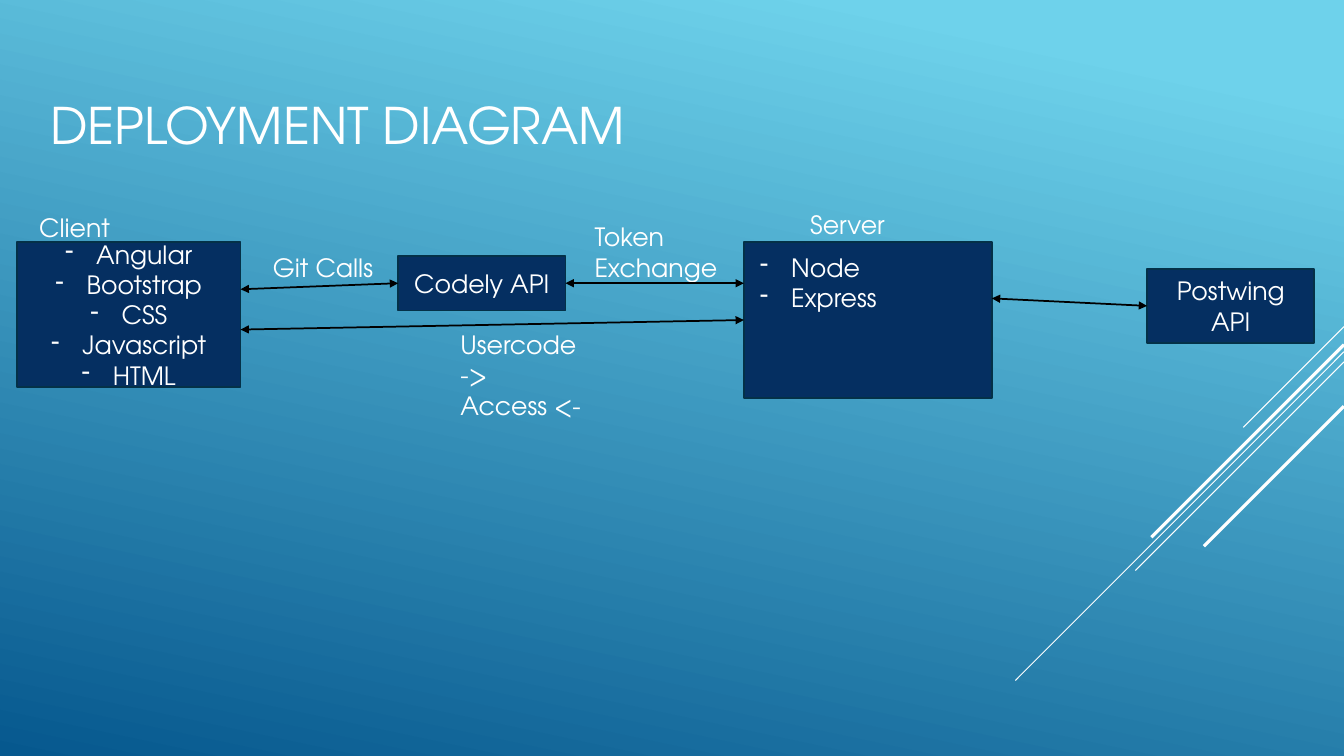
from dataclasses import dataclass
from typing import Optional

from lxml import etree
from pptx import Presentation
from pptx.dml.color import RGBColor
from pptx.enum.shapes import MSO_CONNECTOR, MSO_SHAPE
from pptx.enum.text import MSO_ANCHOR, MSO_AUTO_SIZE, PP_ALIGN
from pptx.oxml.ns import qn
from pptx.util import Inches, Pt

STRAIGHT = MSO_CONNECTOR.STRAIGHT
RECTANGLE = MSO_SHAPE.RECTANGLE
TOP, MIDDLE = MSO_ANCHOR.TOP, MSO_ANCHOR.MIDDLE
LEFT, CENTER = PP_ALIGN.LEFT, PP_ALIGN.CENTER
FIXED, GROW = MSO_AUTO_SIZE.NONE, MSO_AUTO_SIZE.SHAPE_TO_FIT_TEXT
LEFT_SIDE, RIGHT_SIDE = 1, 3

COLUMNS, ROWS = 160, 90
CELL = Inches(7.5) / ROWS
FONT = "TeX Gyre Adventor"
COLORS = {
    "sky": "6ED2EB",
    "sea": "06588E",
    "node": "052F61",
    "node_edge": "043148",
    "text": "FFFFFF",
    "arrow": "000000",
}


@dataclass(frozen=True)
class Area:
    column: float
    row: float
    columns: float
    rows: float


@dataclass(frozen=True)
class Node:
    area: Area
    lines: tuple[str, ...] = ()
    bulleted: bool = False


@dataclass(frozen=True)
class Label:
    area: Area
    lines: tuple[str, ...]
    bulleted: bool = False
    wrap: bool = False


@dataclass(frozen=True)
class Ray:
    row: float
    reach: float
    weight: float


@dataclass(frozen=True)
class Link:
    start: tuple[float, float]
    end: tuple[float, float]
    source: Optional[str] = None
    target: Optional[str] = None


TITLE_AREA = Area(4.8, 4.92, 112, 19.8)

RAYS = (
    Ray(38.88, 12, 0.75),
    Ray(41.88, 39.12, 0.75),
    Ray(43.08, 24.84, 0.75),
    Ray(41.04, 22.92, 2.25),
    Ray(48.36, 16.68, 2.25),
)

NODES = {
    "client": Node(
        Area(2, 28.8, 26.64, 17.28),
        ("Angular", "Bootstrap", "CSS", "Javascript", "HTML"),
        bulleted=True,
    ),
    "server": Node(Area(88.56, 28.8, 29.52, 18.6)),
    "repository": Node(Area(47.4, 30.48, 19.92, 6.48), ("Codely API",)),
    "mail": Node(Area(136.56, 32.04, 19.92, 8.76), ("Postwing API",)),
}

LABELS = (
    Label(Area(3.48, 24.72, 10.92, 4.8), ("Client",)),
    Label(Area(95.28, 24.36, 12.36, 4.8), ("Server",), wrap=True),
    Label(Area(89.28, 29.4, 29.52, 8.52), ("Node", "Express"), bulleted=True, wrap=True),
    Label(Area(69.6, 25.8, 17.28, 8.52), ("Token", "Exchange")),
    Label(Area(31.32, 29.4, 14.52, 4.8), ("Git Calls",)),
    Label(Area(53.64, 38.64, 19.2, 8.52), ("Usercode ->", "Access <-"), wrap=True),
)

LINKS = (
    Link((28.64, 34.44), (47.4, 33.72), target="repository"),
    Link((28.64, 39.24), (88.56, 38.1), target="server"),
    Link((67.32, 33.72), (88.56, 33.72), source="repository"),
    Link((118.08, 35.52), (136.56, 36.42), target="mail"),
)


def cells(count: float) -> int:
    return round(count * CELL)


def box(area: Area) -> tuple[int, ...]:
    return tuple(map(cells, (area.column, area.row, area.columns, area.rows)))


def color(name: str) -> RGBColor:
    return RGBColor.from_string(COLORS[name])


def write(frame, lines: tuple[str, ...], *, size: float = 18, align=LEFT,
          anchor=TOP, wrap: bool = True, fit=FIXED, bulleted: bool = False) -> None:
    frame.word_wrap = wrap
    frame.auto_size = fit
    frame.vertical_anchor = anchor
    frame.text = "\n".join(lines)
    for paragraph in frame.paragraphs:
        paragraph.alignment = align
        paragraph.font.size = Pt(size)
        for run in paragraph.runs:
            run.font.name = FONT
            run.font.size = Pt(size)
            run.font.color.rgb = color("text")
        if bulleted:
            properties = paragraph._p.get_or_add_pPr()
            properties.set("marL", str(Inches(0.31)))
            properties.set("indent", str(-Inches(0.31)))
            etree.SubElement(properties, qn("a:buChar")).set("char", "-")


def draw_line(slide, start: tuple[float, float], end: tuple[float, float],
              shade: str, weight: float, arrows: bool = False):
    line = slide.shapes.add_connector(STRAIGHT, *map(cells, start + end))
    line.line.color.rgb = color(shade)
    line.line.width = Pt(weight)
    properties = line._element.spPr
    if arrows:
        outline = properties.find(qn("a:ln"))
        for tip in ("a:headEnd", "a:tailEnd"):
            etree.SubElement(outline, qn(tip)).set("type", "triangle")
    etree.SubElement(properties, qn("a:effectLst"))
    return line


def draw_node(slide, node: Node):
    block = slide.shapes.add_shape(RECTANGLE, *box(node.area))
    block.shadow.inherit = False
    block.fill.solid()
    block.fill.fore_color.rgb = color("node")
    block.line.color.rgb = color("node_edge")
    block.line.width = Pt(1.25)
    if node.lines:
        write(block.text_frame, node.lines, align=CENTER, anchor=MIDDLE,
              bulleted=node.bulleted)
    return block


def draw_label(slide, label: Label) -> None:
    caption = slide.shapes.add_textbox(*box(label.area))
    write(caption.text_frame, label.lines, wrap=label.wrap, fit=GROW,
          bulleted=label.bulleted)


def draw_link(slide, link: Link, blocks: dict) -> None:
    arrow = draw_line(slide, link.start, link.end, "arrow", 1.25, arrows=True)
    if link.source:
        arrow.begin_connect(blocks[link.source], RIGHT_SIDE)
    if link.target:
        arrow.end_connect(blocks[link.target], LEFT_SIDE)


def paint_background(slide) -> None:
    fill = slide.background.fill
    fill.gradient()
    fill.gradient_angle = 360 - 102
    for stop, shade, position in zip(fill.gradient_stops, ("sky", "sea"), (0.1, 1)):
        stop.color.rgb = color(shade)
        stop.position = position


def main() -> None:
    deck = Presentation()
    deck.slide_width, deck.slide_height = cells(COLUMNS), cells(ROWS)
    slide = deck.slides.add_slide(deck.slide_layouts[5])
    paint_background(slide)

    title = slide.shapes.title
    title.left, title.top, title.width, title.height = box(TITLE_AREA)
    write(title.text_frame, ("DEPLOYMENT DIAGRAM",), size=36, anchor=MIDDLE)

    for ray in RAYS:
        draw_line(slide, (COLUMNS, ray.row), (COLUMNS - ray.reach, ray.row + ray.reach),
                  "text", ray.weight)
    blocks = {name: draw_node(slide, node) for name, node in NODES.items()}
    for label in LABELS:
        draw_label(slide, label)
    for link in LINKS:
        draw_link(slide, link, blocks)

    deck.save("out.pptx")


if __name__ == "__main__":
    main()
